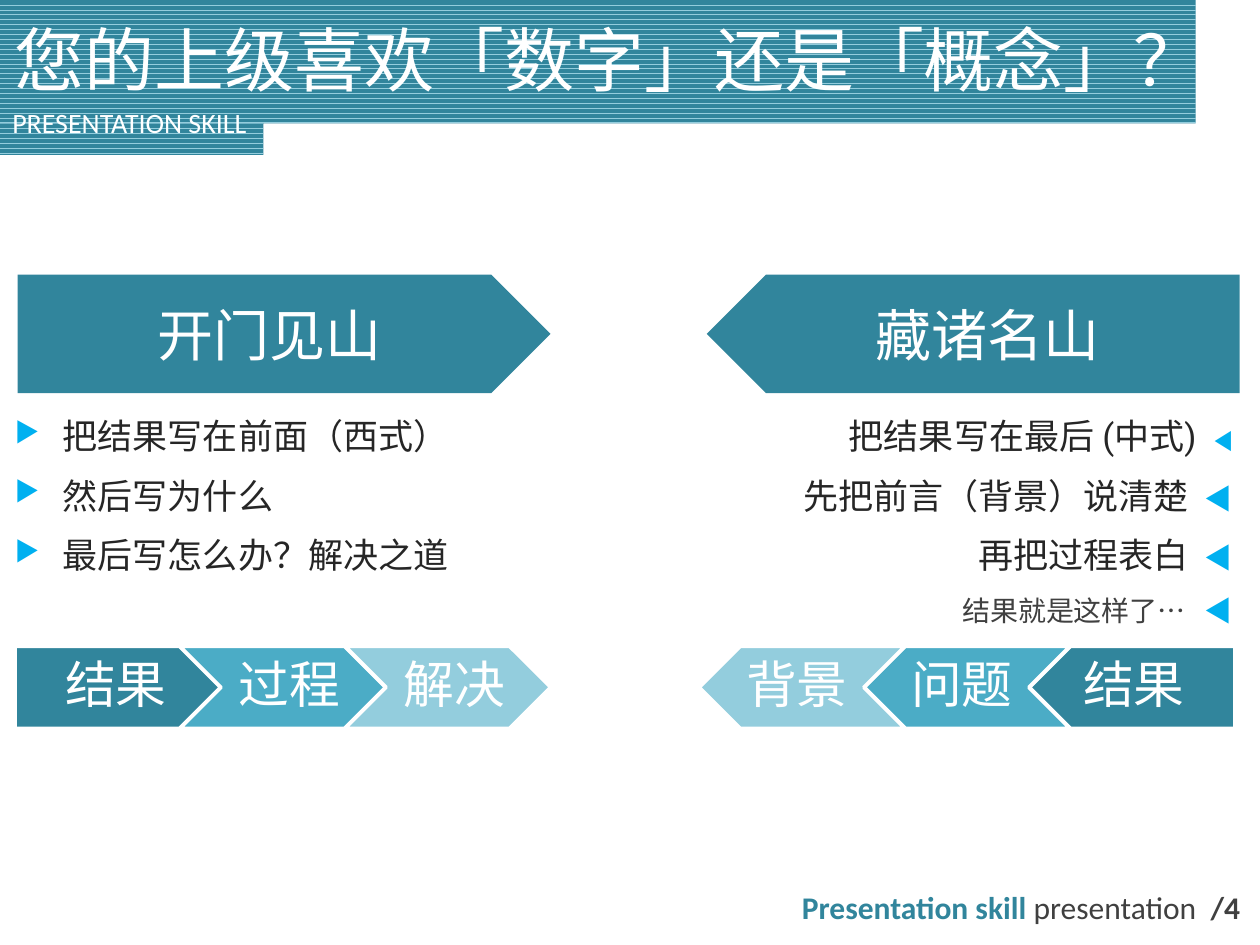
from dataclasses import dataclass

from lxml.etree import SubElement
from pptx import Presentation
from pptx.dml.color import RGBColor
from pptx.enum.dml import MSO_PATTERN
from pptx.enum.shapes import MSO_SHAPE
from pptx.enum.text import MSO_ANCHOR, PP_ALIGN
from pptx.oxml.ns import qn
from pptx.util import Inches, Pt


@dataclass(frozen=True)
class Theme:
    heading_font: str = "Calibri"
    body_font: str = "Roboto"
    white: str = "FFFFFF"
    dark_teal: str = "31859C"
    teal: str = "4BACC6"
    light_teal: str = "93CDDD"
    marker: str = "00B0F0"
    body: str = "262626"
    muted: str = "404040"
    title_size: int = 40
    banner_size: int = 32
    step_size: int = 29
    body_size: int = 20
    footer_size: int = 18
    small_size: int = 16


THEME = Theme()


def color(code):
    return RGBColor.from_string(code)


def write_run(paragraph, text, *, size, fill=THEME.white,
              font=THEME.heading_font, bold=False):
    """Append formatted text to a paragraph."""
    run = paragraph.add_run()
    run.text = text
    run.font.name = font
    run.font.size = Pt(size)
    run.font.bold = bold
    run.font.color.rgb = color(fill)


def add_text_box(shapes, left, top, width, height, *, insets=(0.1, 0.05, 0.1, 0.05),
                 anchor=MSO_ANCHOR.TOP):
    """Add a wrapping text box and return its frame."""
    box = shapes.add_textbox(Inches(left), Inches(top), Inches(width), Inches(height))
    frame = box.text_frame
    frame.word_wrap = True
    frame.vertical_anchor = anchor
    (frame.margin_left, frame.margin_top,
     frame.margin_right, frame.margin_bottom) = map(Inches, insets)
    return frame


def add_block(shapes, kind, left, top, width, height, fill, outline=None):
    """Add a plain filled shape."""
    shape = shapes.add_shape(kind, Inches(left), Inches(top), Inches(width), Inches(height))
    shape.shadow.inherit = False
    shape.fill.solid()
    shape.fill.fore_color.rgb = color(fill)
    if outline:
        shape.line.color.rgb = color(outline)
        shape.line.width = Pt(2)
    else:
        shape.line.fill.background()
    return shape


def add_title_band(shapes, left, top, width, height):
    band = add_block(shapes, MSO_SHAPE.RECTANGLE, left, top, width, height, THEME.dark_teal)
    band.fill.patterned()
    band.fill.pattern = MSO_PATTERN.WAVE
    band.fill.fore_color.rgb = color(THEME.light_teal)
    band.fill.back_color.rgb = color(THEME.dark_teal)


def add_banner(shapes, left, text, mirrored=False):
    """Add a large arrow banner, optionally pointing left."""
    banner = add_block(shapes, MSO_SHAPE.PENTAGON, left, 2.18, 4.23, 0.94, THEME.dark_teal)
    if mirrored:
        banner._element.spPr.find(qn("a:xfrm")).set("flipH", "1")
    frame = banner.text_frame
    frame.vertical_anchor = MSO_ANCHOR.MIDDLE
    paragraph = frame.paragraphs[0]
    paragraph.alignment = PP_ALIGN.CENTER
    write_run(paragraph, text, size=THEME.banner_size)


def add_bullet(paragraph):
    """Give a paragraph a hanging triangle bullet."""
    properties = paragraph._p.get_or_add_pPr()
    properties.set("marL", str(Inches(0.38)))
    properties.set("indent", str(Inches(-0.38)))
    bullet_color = SubElement(properties, qn("a:buClr"))
    SubElement(bullet_color, qn("a:srgbClr"), val=THEME.marker)
    SubElement(properties, qn("a:buSzPct"), val="80000")
    SubElement(properties, qn("a:buChar"), char="▶")


def list_paragraphs(frame, count):
    paragraphs = [frame.paragraphs[0]] + [frame.add_paragraph() for _ in range(count - 1)]
    for paragraph in paragraphs:
        paragraph.space_before = Pt(10)
    return paragraphs


def add_left_list(shapes, lines):
    frame = add_text_box(shapes, 0.02, 3.24, 4.88, 2.25)
    for paragraph, line in zip(list_paragraphs(frame, len(lines)), lines):
        add_bullet(paragraph)
        write_run(paragraph, line, size=THEME.body_size, fill=THEME.body, font=THEME.body_font)


def add_right_list(shapes, lines):
    """Add right-aligned lines, each ending in a marker; the last is smaller."""
    frame = add_text_box(shapes, 5, 3.24, 4.88, 2.25)
    for paragraph, line in zip(list_paragraphs(frame, len(lines)), lines):
        last = line == lines[-1]
        paragraph.alignment = PP_ALIGN.RIGHT
        write_run(paragraph, line, font=THEME.body_font,
                  size=THEME.small_size if last else THEME.body_size,
                  fill=THEME.muted if last else THEME.body)
        write_run(paragraph, "◀", size=THEME.small_size, fill=THEME.marker,
                  font=THEME.body_font)


def add_process(shapes, start, labels, mirrored=False):
    """Add a grouped chain of arrows, running outward from its flat end."""
    group = shapes.add_group_shape().shapes
    top, width, height = 5.13, 1.63, 0.65
    pitch = -1.31 if mirrored else 1.31
    insets = (0.04, 0.08, 0.13, 0.08) if mirrored else (0.13, 0.08, 0.04, 0.08)
    first_insets = (0.04, 0.08, 0.17, 0.08) if mirrored else (0.17, 0.08, 0.04, 0.08)
    fills = (THEME.dark_teal, THEME.teal, THEME.light_teal)
    for index, (label, fill) in enumerate(zip(labels, fills)):
        left = start + index * pitch
        first = index == 0
        kind = MSO_SHAPE.PENTAGON if first else MSO_SHAPE.CHEVRON
        arrow = add_block(group, kind, left, top, width, height, fill, THEME.white)
        if mirrored:
            arrow.rotation = 180
        text_width = 1.47 if first else 0.98
        offset = (width - text_width if mirrored else 0) if first else 0.33
        frame = add_text_box(group, left + offset, top, text_width, height,
                             insets=first_insets if first else insets,
                             anchor=MSO_ANCHOR.MIDDLE)
        paragraph = frame.paragraphs[0]
        paragraph.alignment = PP_ALIGN.CENTER
        paragraph.line_spacing = 0.9
        write_run(paragraph, label, size=THEME.step_size)


def add_header(shapes):
    add_title_band(shapes, -0.02, 0.67, 2.11, 0.56)
    add_title_band(shapes, -0.01, 0, 9.5, 0.98)
    title = add_text_box(shapes, 0.02, 0.08, 9.98, 0.77)
    write_run(title.paragraphs[0], "您的上级喜欢「数字」还是「概念」？", size=THEME.title_size)
    subtitle = add_text_box(shapes, 0, 0.79, 2.3, 0.37)
    write_run(subtitle.paragraphs[0], "PRESENTATION SKILL", size=THEME.small_size)


def add_footer(shapes):
    paragraph = add_text_box(shapes, 5.05, 7, 4.89, 0.4).paragraphs[0]
    paragraph.alignment = PP_ALIGN.RIGHT
    for text, fill, bold in (("Presentation skill", THEME.dark_teal, True),
                             (" presentation  ", THEME.muted, False),
                             ("/4", THEME.muted, True)):
        write_run(paragraph, text, size=THEME.footer_size, fill=fill, bold=bold)


def main():
    presentation = Presentation()
    presentation.slide_width = Inches(10)
    presentation.slide_height = Inches(7.5)
    slide = presentation.slides.add_slide(presentation.slide_layouts[6])
    shapes = slide.shapes

    # Header and footer
    add_header(shapes)
    add_footer(shapes)

    # Result first
    add_banner(shapes, 0.14, "开门见山")
    add_left_list(shapes, ["把结果写在前面（西式）", "然后写为什么", "最后写怎么办？解决之道"])
    add_process(shapes, 0.12, ["结果", "过程", "解决"])

    # Result last
    add_banner(shapes, 5.61, "藏诸名山", mirrored=True)
    add_right_list(shapes, ["把结果写在最后 (中式)  ", "先把前言（背景）说清楚  ",
                            "再把过程表白  ", "结果就是这样了…   "])
    add_process(shapes, 8.17, ["结果", "问题", "背景"], mirrored=True)

    presentation.save("out.pptx")


if __name__ == "__main__":
    main()
